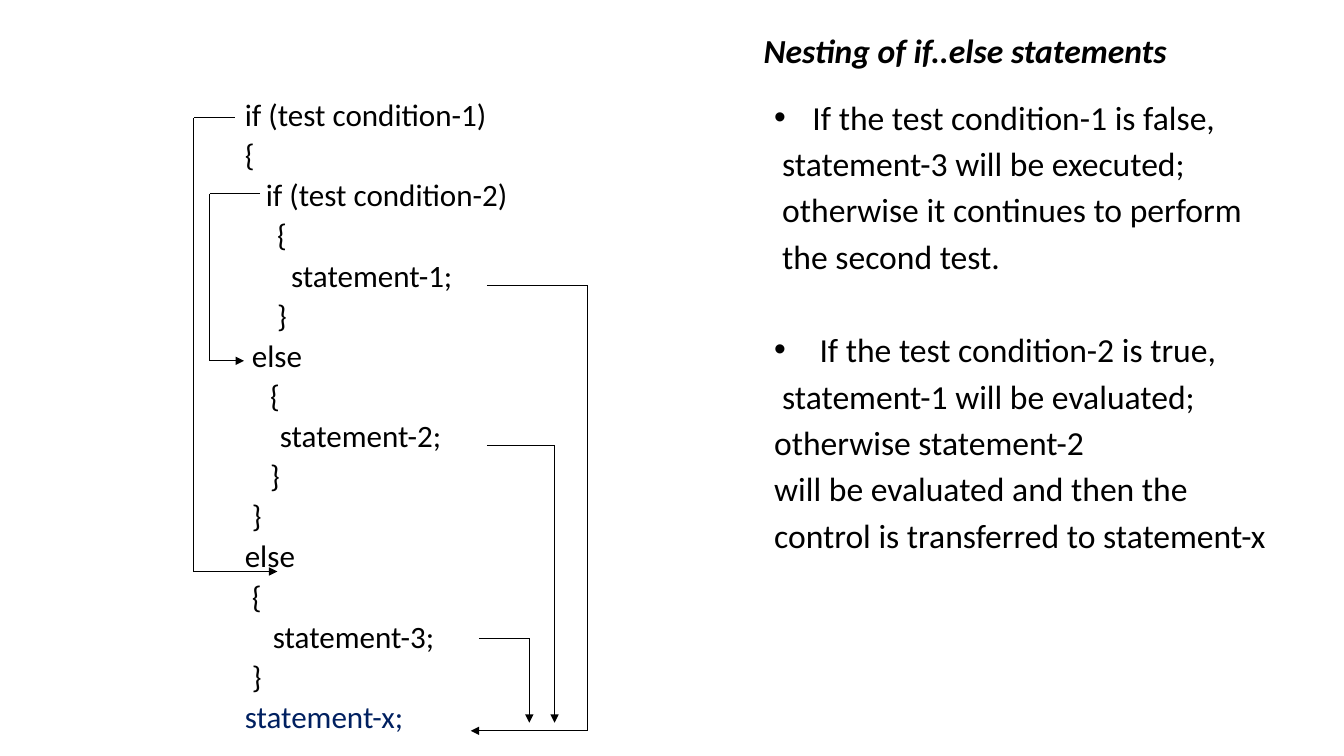
from dataclasses import dataclass
from itertools import pairwise

from lxml import etree
from pptx import Presentation
from pptx.dml.color import RGBColor
from pptx.enum import shapes, text
from pptx.oxml import ns
from pptx.util import Inches, Pt


@dataclass(frozen=True)
class Theme:
    font: str = "Calibri"
    ink: str = "000000"
    accent: str = "002060"
    code_size: float = 22.2
    body_size: float = 24
    line_width: float = 0.75


THEME = Theme()

CODE = [
    "if (test condition-1)",
    "{",
    "   if (test condition-2)",
    "\t {",
    "\t   statement-1;",
    "\t }",
    " else",
    "\t{",
    "     statement-2;",
    "\t}",
    " }",
    "else",
    " {",
    "    statement-3;",
    " }",
    "statement-x;",
]

# Corner points of each control-flow path: (points, has arrowhead at the end)
FLOWS = [
    [(2.33, 1.17), (1.92, 1.17), (1.92, 5.67), (2.75, 5.67)],
    [(2.58, 1.92), (2.08, 1.92), (2.08, 3.58), (2.42, 3.58)],
    [(4.83, 2.83), (5.83, 2.83), (5.83, 7.25), (4.67, 7.25)],
    [(4.83, 4.42), (5.5, 4.42), (5.5, 7.17)],
    [(4.75, 6.33), (5.25, 6.33), (5.25, 7.17)],
]

# Each note: lines with the left offset of their text
NOTES = [
    [
        ("If the test condition-1 is false,", 0.38),
        ("statement-3 will be executed;", 0.08),
        ("otherwise it continues to perform", 0.08),
        ("the second test.", 0.08),
    ],
    [
        ("If the test condition-2 is true,", 0.45),
        ("statement-1 will be evaluated;", 0.08),
        ("otherwise statement-2", 0),
        ("will be evaluated and then the", 0),
        ("control is transferred to statement-x", 0),
    ],
]


def add_text_frame(slide, left, top, width, height):
    box = slide.shapes.add_textbox(Inches(left), Inches(top), Inches(width), Inches(height))
    box.text_frame.word_wrap = True
    return box.text_frame


def next_paragraph(frame):
    """Return the empty first paragraph, or a new one once it is filled."""
    first = frame.paragraphs[0]
    return frame.add_paragraph() if first.runs else first


def set_indent(paragraph, left, first_line):
    properties = paragraph._p.get_or_add_pPr()
    properties.set("marL", str(Inches(left)))
    properties.set("indent", str(Inches(first_line)))


def add_bullet(paragraph):
    properties = paragraph._p.get_or_add_pPr()
    etree.SubElement(properties, ns.qn("a:buFont"), typeface="Arial")
    etree.SubElement(properties, ns.qn("a:buChar"), char="•")


def add_run(paragraph, wording, size, color=THEME.ink, emphasis=False):
    run = paragraph.add_run()
    run.text = wording
    run.font.name = THEME.font
    run.font.size = Pt(size)
    run.font.color.rgb = RGBColor.from_string(color)
    if emphasis:
        run.font.bold = run.font.italic = True


def add_title(slide, wording):
    frame = add_text_frame(slide, 3.5, 0.25, 8.17, 0.5)
    title = frame.paragraphs[0]
    title.alignment = text.PP_ALIGN.RIGHT
    add_run(title, wording, THEME.body_size, emphasis=True)


def add_code(slide, lines):
    frame = add_text_frame(slide, 2.33, 1, 4, 6.5)
    for index, wording in enumerate(lines):
        line = next_paragraph(frame)
        set_indent(line, 0.25, -0.25)
        line.line_spacing = 0.7
        line.space_before = Pt(10 if index else 0)
        is_last = index == len(lines) - 1
        add_run(line, wording, THEME.code_size, THEME.accent if is_last else THEME.ink)


def add_notes(slide, notes):
    line_gap, note_gap = 4.3, 37.9
    frame = add_text_frame(slide, 7.58, 0.91, 5.65, 4.8)
    for note_index, note in enumerate(notes):
        for line_index, (wording, offset) in enumerate(note):
            line = next_paragraph(frame)
            line.alignment = text.PP_ALIGN.JUSTIFY
            if line_index:
                set_indent(line, offset, 0)
                line.space_before = Pt(line_gap)
            else:
                set_indent(line, offset, -offset)
                line.space_before = Pt(note_gap if note_index else 0)
                add_bullet(line)
            add_run(line, wording, THEME.body_size)


def add_line(slide, start, end, arrow):
    line = slide.shapes.add_connector(
        shapes.MSO_CONNECTOR.STRAIGHT, *map(Inches, start), *map(Inches, end)
    )
    line.line.color.rgb = RGBColor.from_string(THEME.ink)
    line.line.width = Pt(THEME.line_width)
    if arrow:
        etree.SubElement(line.line._get_or_add_ln(), ns.qn("a:tailEnd"), type="triangle")
    etree.SubElement(line._element.spPr, ns.qn("a:effectLst"))


def add_flow(slide, points):
    """Join the points with straight lines, ending in an arrowhead."""
    for start, end in pairwise(points):
        add_line(slide, start, end, arrow=end == points[-1])


def main():
    deck = Presentation()
    deck.slide_width, deck.slide_height = Inches(13.33), Inches(7.5)
    slide = deck.slides.add_slide(deck.slide_layouts[6])
    add_code(slide, CODE)
    for points in FLOWS:
        add_flow(slide, points)
    add_title(slide, "Nesting of if..else statements")
    add_notes(slide, NOTES)
    deck.save("out.pptx")


if __name__ == "__main__":
    main()
